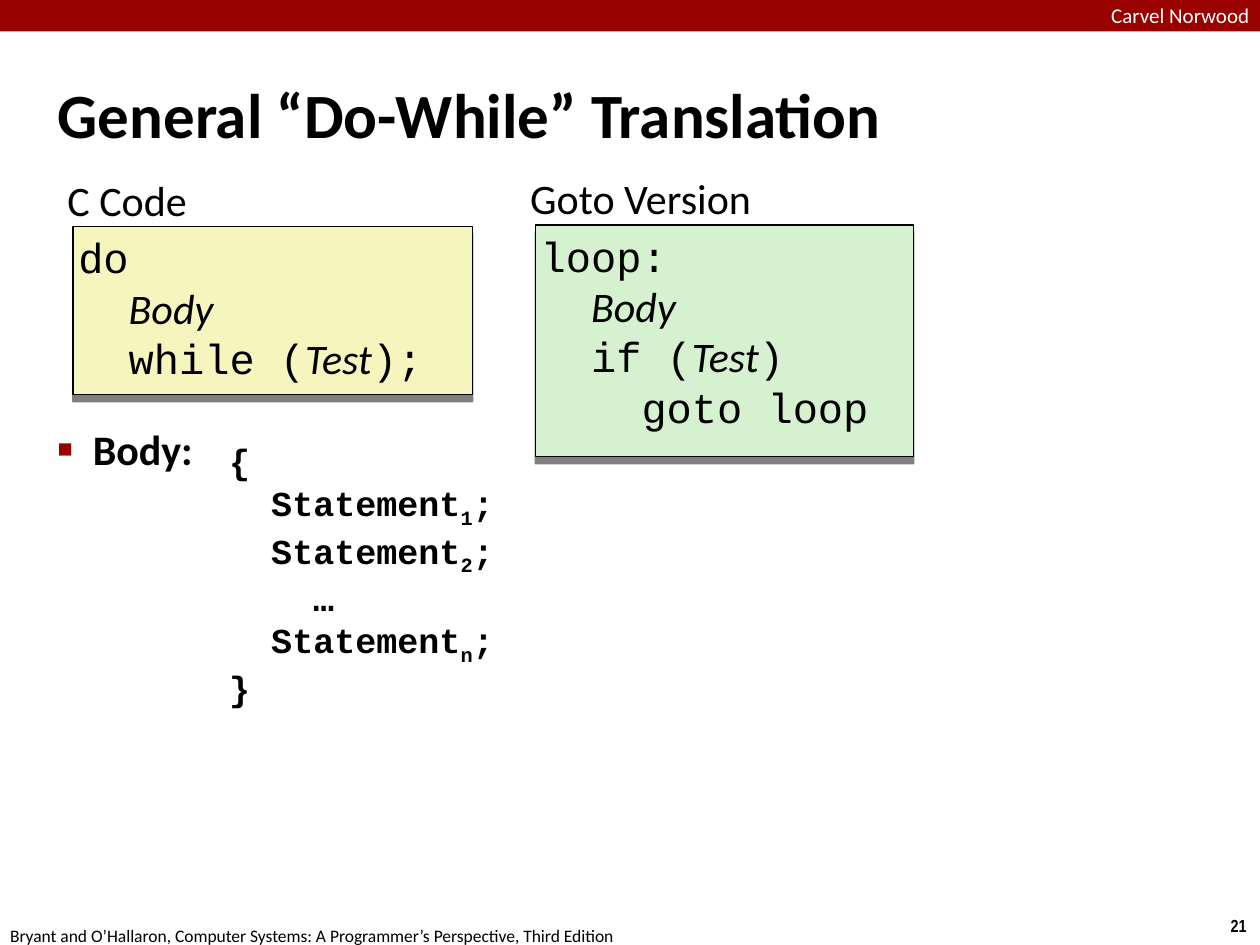
"""Build the slide on translating a do-while loop into goto form."""
from lxml import etree
from pptx import Presentation
from pptx.dml.color import RGBColor
from pptx.enum.shapes import MSO_SHAPE
from pptx.enum.text import MSO_ANCHOR, MSO_AUTO_SIZE, PP_ALIGN
from pptx.oxml.ns import qn
from pptx.util import Pt

RECT = MSO_SHAPE.RECTANGLE
TOP, MIDDLE = MSO_ANCHOR.TOP, MSO_ANCHOR.MIDDLE
LEFT, CENTER = PP_ALIGN.LEFT, PP_ALIGN.CENTER
FIXED = MSO_AUTO_SIZE.NONE

BLACK = RGBColor(0, 0, 0)
WHITE = RGBColor(255, 255, 255)
RED = RGBColor(0x99, 0, 0)
YELLOW = RGBColor(0xF6, 0xF5, 0xBD)
GREEN = RGBColor(0xD5, 0xF1, 0xCF)
SANS, MONO, NARROW = "Calibri", "Courier New", "Arial Narrow"
CODE, TERM, SUB = "code", "term", "sub"

TITLE = "General “Do-While” Translation"
BODY = "Body:"
SCHOOL = "Carvel Norwood"
SOURCE = ("Bryant and O’Hallaron, Computer Systems: "
          "A Programmer’s Perspective, Third Edition")
PAGE = "21"

PANELS = [
    ("C Code", (35.5, 96.5, 206), (41.75, 129.5, 228.25, 96), YELLOW, [
        (0, [("do", CODE)]),
        (1, [("Body", TERM)]),
        (1, [("while (", CODE), ("Test", TERM), (");", CODE)]),
    ]),
    ("Goto Version", (300, 95.75, 182), (306, 128.5, 216, 132.5), GREEN, [
        (0, [("loop:", CODE)]),
        (1, [("Body", TERM)]),
        (1, [("if (", CODE), ("Test", TERM), (")", CODE)]),
        (2, [("goto loop", CODE)]),
    ]),
]


def step(index):
    return 1, [("Statement", CODE), (index, SUB), (";", CODE)]


BLOCK = [(0, [("{", CODE)]), step("1"), step("2"), (2, [("…", CODE)]),
         step("n"), (0, [("}", CODE)])]


def write(shape, lines, size=24, font=SANS, color=BLACK, bold=False,
          align=LEFT, anchor=TOP, inset=3, wrap=True):
    """Fill a shape with a string or with (level, runs) lines."""
    if isinstance(lines, str):
        lines = [(0, [(lines, CODE)])]
    frame = shape.text_frame
    frame.auto_size, frame.word_wrap = FIXED, wrap
    frame.vertical_anchor = anchor
    frame.margin_left = frame.margin_right = Pt(inset)
    frame.margin_top = frame.margin_bottom = Pt(inset)
    for i, (level, runs) in enumerate(lines):
        para = frame.add_paragraph() if i else frame.paragraphs[0]
        para.alignment = align
        if level:
            props = para._p.get_or_add_pPr()
            props.set("marL", str(Pt(level * 1.2 * size)))
            props.set("indent", "0")
        for text, style in runs:
            run = para.add_run()
            run.text = text
            face = run.font
            face.name = SANS if style == TERM else font
            face.size, face.bold = Pt(size), bold
            face.italic = style == TERM
            face.color.rgb = color
            if style == SUB:
                run._r.get_or_add_rPr().set("baseline", "-25000")
    return shape


def place(shape, *spot):
    shape.left, shape.top, shape.width, shape.height = map(Pt, spot)
    return shape


def draw_box(shapes, spot, fill):
    box = shapes.add_shape(RECT, *map(Pt, spot))
    box.shadow.inherit = False
    box.fill.solid()
    box.fill.fore_color.rgb = fill
    box.line.fill.background()
    return box


def drop_shadow(box):
    effects = box._element.spPr.find(qn("a:effectLst"))
    shade = etree.SubElement(effects, qn("a:outerShdw"), blurRad="0",
                             dist=str(Pt(4)), dir="5400000", algn="ctr",
                             rotWithShape="0")
    tint = etree.SubElement(shade, qn("a:srgbClr"), val=str(BLACK))
    etree.SubElement(tint, qn("a:alpha"), val="50000")


def add_bullet(para):
    props = para._p.get_or_add_pPr()
    props.set("marL", str(Pt(20)))
    props.set("indent", str(-Pt(20)))
    tint = etree.SubElement(props, qn("a:buClr"))
    etree.SubElement(tint, qn("a:srgbClr"), val=str(RED))
    etree.SubElement(props, qn("a:buSzPct"), val="60000")
    etree.SubElement(props, qn("a:buChar"), char="■")


def main():
    deck = Presentation()
    deck.slide_width, deck.slide_height = Pt(720), Pt(540)
    slide = deck.slides.add_slide(deck.slide_layouts[1])
    shapes = slide.shapes

    def label(spot, text, **style):
        return write(shapes.add_textbox(*map(Pt, spot)), text, **style)

    write(place(shapes.title, 30, 20, 660, 90), TITLE, size=36, bold=True,
          anchor=MIDDLE)
    body = place(slide.placeholders[1], 30, 239, 660, 299)
    para = write(body, BODY, bold=True).text_frame.paragraphs[0]
    para.space_before = Pt(6)
    add_bullet(para)

    draw_box(shapes, (0, 0, 720, 18), RED)
    label((635, 1.5, 85, 14), SCHOOL, size=12, color=WHITE, inset=0)
    label((695.5, 520, 24.5, 19.5), PAGE, size=10, font=NARROW, bold=True,
          align=CENTER, wrap=False)
    label((2.75, 525.5, 362, 14), SOURCE, size=10, wrap=False)

    for name, (left, top, width), spot, fill, code in PANELS:
        label((left, top, width, 35), name)
        box = draw_box(shapes, spot, fill)
        box.line.color.rgb, box.line.width = BLACK, Pt(1)
        drop_shadow(box)
        write(box, code, font=MONO)
    label((128, 248, 175, 178), BLOCK, size=20, font=MONO, bold=True)

    deck.save("out.pptx")


if __name__ == "__main__":
    main()
